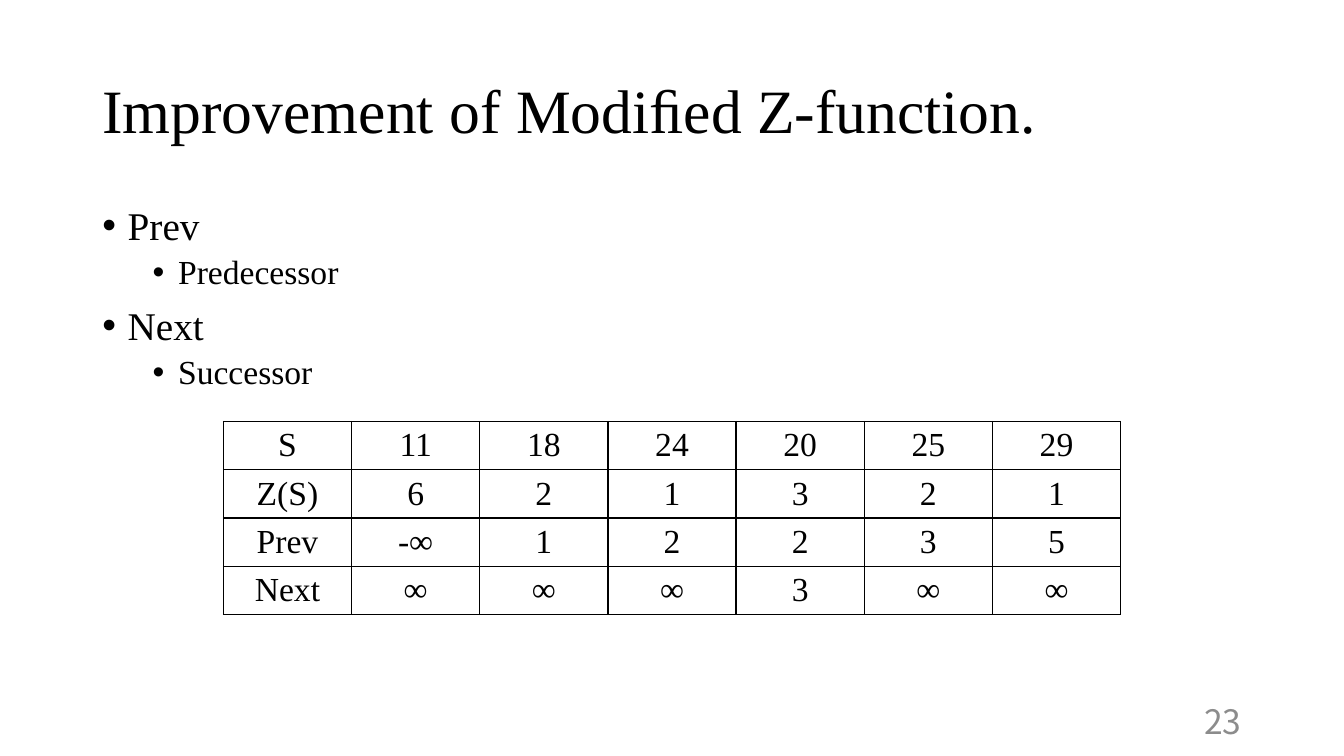
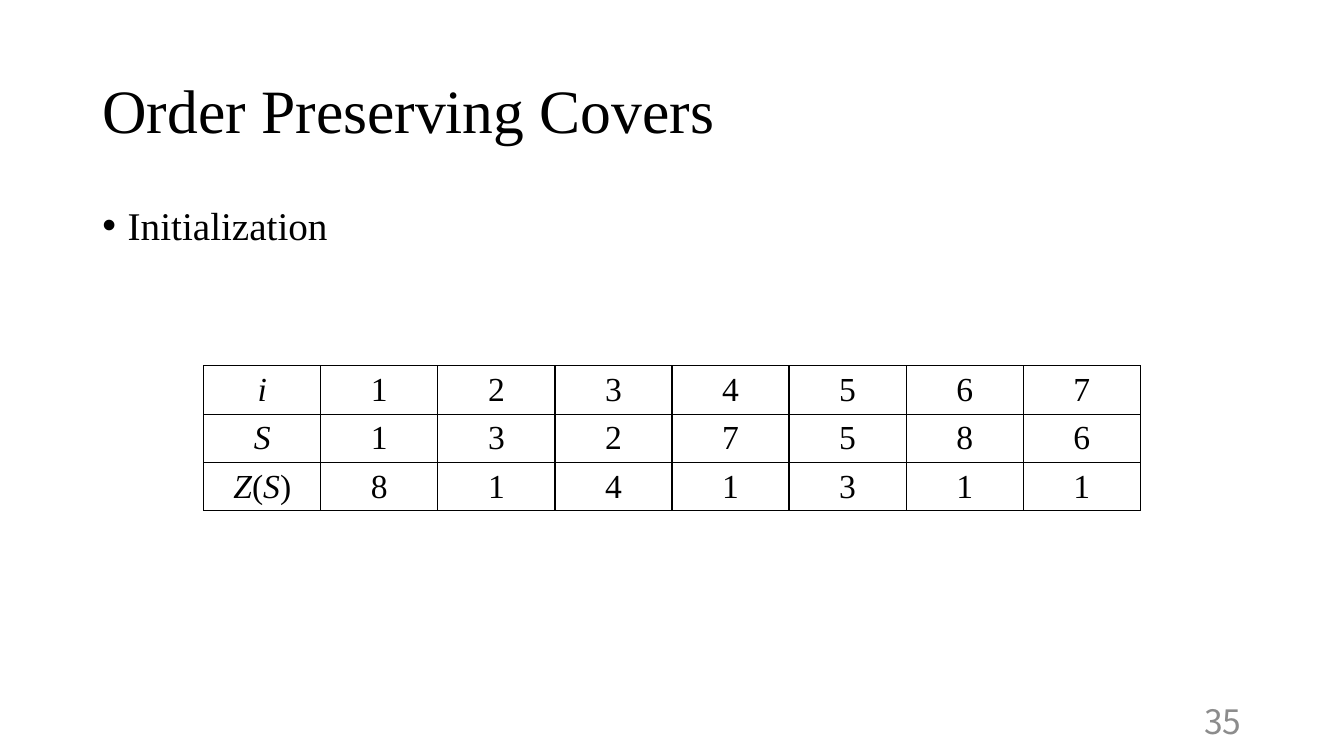
from lxml.etree import SubElement
from pptx import Presentation
from pptx.dml.color import RGBColor
from pptx.enum.text import MSO_ANCHOR as Anchor, PP_ALIGN as Align
from pptx.oxml.ns import qn
from pptx.util import Cm, Pt

SERIF = "Times New Roman"
SANS = "Noto Sans CJK JP"
BLACK = "000000"
GREY = "8C8C8C"
SLIDE_WIDTH = 33.87
SLIDE_HEIGHT = 19.05
LEFT = 2.33
CONTENT_WIDTH = 29.21
ROW_HEIGHT = 1.19
BULLET_SIZES = (28, 24)
BULLET_GAPS = (10, 5)


def color(value):
    return RGBColor.from_string(value)


def add_text(para, text, size=24, font=SERIF, fill=BLACK, align=Align.LEFT,
             spacing=None, before=0):
    para.alignment = align
    if spacing:
        para.line_spacing = spacing
    if before:
        para.space_before = Pt(before)
    for index, piece in enumerate(text.split("*")):
        if piece:
            span = para.add_run()
            span.text = piece
            span.font.size = Pt(size)
            span.font.name = font
            span.font.color.rgb = color(fill)
            if index % 2:
                span.font.italic = True


def add_box(page, left, top, width, height, anchor=Anchor.MIDDLE):
    box = page.shapes.add_textbox(Cm(left), Cm(top), Cm(width), Cm(height))
    frame = box.text_frame
    frame.word_wrap = True
    frame.vertical_anchor = anchor
    return frame


def set_bullet(para, level):
    para.level = level
    properties = para._p.get_or_add_pPr()
    properties.set("marL", str(Cm(0.64 + 1.27 * level)))
    properties.set("indent", str(-Cm(0.64)))
    SubElement(properties, qn("a:buFont")).set("typeface", "Arial")
    SubElement(properties, qn("a:buChar")).set("char", "•")


def add_bullets(page, items):
    frame = add_box(page, LEFT, 5.08, CONTENT_WIDTH, 12.09, Anchor.TOP)
    for index, (level, text) in enumerate(items):
        para = frame.add_paragraph() if index else frame.paragraphs[0]
        set_bullet(para, level)
        add_text(para, text, size=BULLET_SIZES[level], spacing=0.9,
                 before=BULLET_GAPS[level] if index else 0)


def set_borders(cell):
    properties = cell._tc.get_or_add_tcPr()
    for position, side in enumerate(("lnL", "lnR", "lnT", "lnB")):
        line = properties.makeelement(qn(f"a:{side}"), {"w": str(Pt(1))})
        fill = SubElement(line, qn("a:solidFill"))
        SubElement(fill, qn("a:srgbClr")).set("val", BLACK)
        properties.insert(position, line)


def add_grid(page, rows, top, column_width):
    columns = len(rows[0])
    width = columns * column_width
    left = (SLIDE_WIDTH - width) / 2
    table = page.shapes.add_table(
        len(rows), columns, Cm(left), Cm(top),
        Cm(width), Cm(len(rows) * ROW_HEIGHT)).table
    table.first_row = table.horz_banding = False
    for column in table.columns:
        column.width = Cm(column_width)
    for row, texts in zip(table.rows, rows):
        row.height = Cm(ROW_HEIGHT)
        for cell, text in zip(row.cells, texts):
            cell.fill.background()
            cell.margin_top = cell.margin_bottom = Cm(0.1)
            cell.vertical_anchor = Anchor.MIDDLE
            set_borders(cell)
            add_text(cell.text_frame.paragraphs[0], text, align=Align.CENTER)


def add_page(deck, title, number):
    page = deck.slides.add_slide(deck.slide_layouts[6])
    heading = add_box(page, LEFT, 1.02, CONTENT_WIDTH, 3.68)
    add_text(heading.paragraphs[0], title, size=44, spacing=0.9)
    footer = add_box(page, 23.92, 17.65, 7.62, 1.02)
    add_text(footer.paragraphs[0], number, font=SANS, fill=GREY,
             align=Align.RIGHT)
    return page


def main():
    deck = Presentation()
    deck.slide_width = Cm(SLIDE_WIDTH)
    deck.slide_height = Cm(SLIDE_HEIGHT)

    page = add_page(deck, "Improvement of Modiﬁed Z-function.", "23")
    add_bullets(page, [(0, "Prev"), (1, "Predecessor"),
                       (0, "Next"), (1, "Successor")])
    add_grid(page, [
        ("S", "11", "18", "24", "20", "25", "29"),
        ("Z(S)", "6", "2", "1", "3", "2", "1"),
        ("Prev", "-∞", "1", "2", "2", "3", "5"),
        ("Next", "∞", "∞", "∞", "3", "∞", "∞"),
    ], top=10.62, column_width=3.23)

    page = add_page(deck, "Order Preserving Covers", "35")
    add_bullets(page, [(0, "Initialization")])
    add_grid(page, [
        ("*i*", "1", "2", "3", "4", "5", "6", "7"),
        ("*S*", "1", "3", "2", "7", "5", "8", "6"),
        ("*Z*(*S*)", "8", "1", "4", "1", "3", "1", "1"),
    ], top=9.22, column_width=2.95)

    deck.save("out.pptx")


if __name__ == "__main__":
    main()
